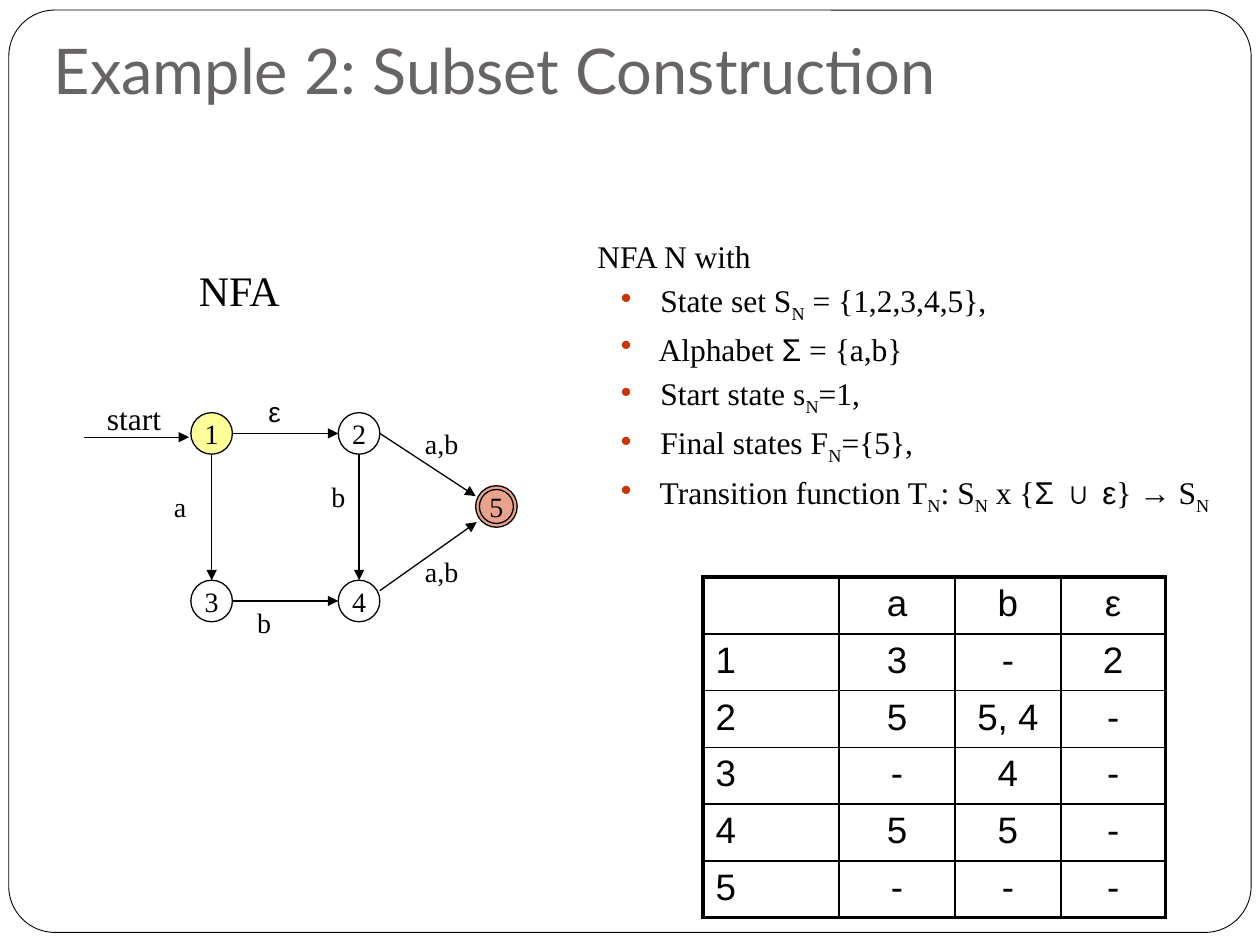
from lxml import etree
from pptx import Presentation
from pptx.dml.color import RGBColor
from pptx.enum import shapes, text
from pptx.oxml.ns import qn
from pptx.util import Inches, Pt

SERIF, SANS, TITLE_FONT = "Times New Roman", "Arial", "Lato"
COLORS = {"ink": "000000", "paper": "FFFFFF", "title": "696464",
          "start": "FFFF99", "final": "D34817", "bullet": "CC3300"}

# Automaton: centre and fill of each state
RADIUS = 0.165
STATES = {
    "1": (1.68, 3.44, "start"), "2": (2.85, 3.44, "paper"),
    "3": (1.68, 4.77, "paper"), "4": (2.85, 4.77, "paper"),
    "5": (3.94, 4.02, "final"),
}
# From, exit point, to, entry point (points in radii from the centre)
RIGHT, LEFT, BOTTOM, TOP = (1, 0), (-1, 0), (0, 1), (0, -1)
TRANSITIONS = [
    ("1", RIGHT, "2", LEFT), ("2", BOTTOM, "4", TOP),
    ("1", BOTTOM, "3", TOP), ("3", RIGHT, "4", LEFT),
    ("4", (1, -0.5), "5", (-0.95, 0.75)), ("2", RIGHT, "5", (-1, -0.5)),
]
# Label, left, top, width, font
SYMBOLS = [
    ("ε", 2.03, 3.08, 0.3, SANS), ("b", 1.94, 4.76, 0.31, SERIF),
    ("a", 1.28, 3.84, 0.3, SERIF), ("b", 2.53, 3.76, 0.31, SERIF),
    ("a,b", 3.27, 3.34, 0.47, SERIF), ("a,b", 3.27, 4.35, 0.47, SERIF),
]

# Definition: each run is (text, style)
SUB = ("N", "sub")
DEFINITION = [
    [(" NFA N with", "")],
    [(" State set S", ""), SUB, (" = {1,2,3,4,5},", "")],
    [(" Alphabet ", ""), ("Σ", "sans"), (" = {a,b}", "")],
    [(" Start state s", ""), SUB, ("=1,", "")],
    [(" Final states F", ""), SUB, ("={5},", "")],
    [(" Transition function T", ""), SUB, (": S", ""), SUB, (" x {", ""),
     ("Σ ", "sans"), ("∪ ", ""), ("ε", "sans"), ("} → S", ""), SUB],
]

TRANSITION_TABLE = [
    ["", "a", "b", "ε"],
    ["1", "3", "-", "2"],
    ["2", "5", "5, 4", "-"],
    ["3", "-", "4", "-"],
    ["4", "5", "5", "-"],
    ["5", "-", "-", "-"],
]
COLUMN_WIDTHS, ROW_HEIGHT = [1.08, 0.92, 0.84, 0.83], 0.45

prs = Presentation()
prs.slide_width, prs.slide_height = Inches(10), Inches(7.5)
slide = prs.slides.add_slide(prs.slide_layouts[6])


def rgb(name):
    return RGBColor.from_string(COLORS[name])


def add_run(paragraph, words, size, font=SERIF, color="ink"):
    run = paragraph.add_run()
    run.text = words
    run.font.size, run.font.name = Pt(size), font
    run.font.color.rgb = rgb(color)
    return run


def add_box(left, top, width, height, wrap=False):
    box = slide.shapes.add_textbox(*map(Inches, (left, top, width, height)))
    box.text_frame.word_wrap = wrap
    return box.text_frame


def add_label(words, left, top, width, height, size, font=SERIF, centred=False):
    paragraph = add_box(left, top, width, height).paragraphs[0]
    if centred:
        paragraph.alignment = text.PP_ALIGN.CENTER
    add_run(paragraph, words, size, font)


def add_outline(kind, left, top, width, height, fill, weight):
    shape = slide.shapes.add_shape(kind, *map(Inches, (left, top, width, height)))
    shape.shadow.inherit = False
    if fill:
        shape.fill.solid()
        shape.fill.fore_color.rgb = rgb(fill)
    else:
        shape.fill.background()
    shape.line.color.rgb, shape.line.width = rgb("ink"), Pt(weight)
    return shape


def add_circle(x, y, radius, fill=None):
    return add_outline(shapes.MSO_SHAPE.OVAL, x - radius, y - radius,
                       2 * radius, 2 * radius, fill, 0.75)


def add_arrow(x1, y1, x2, y2):
    arrow = slide.shapes.add_connector(shapes.MSO_CONNECTOR.STRAIGHT,
                                       *map(Inches, (x1, y1, x2, y2)))
    arrow.line.color.rgb, arrow.line.width = rgb("ink"), Pt(0.75)
    etree.SubElement(arrow.line._get_or_add_ln(), qn("a:tailEnd"), type="triangle")
    etree.SubElement(arrow._element.spPr, qn("a:effectLst"))


def add_bullet(paragraph):
    properties = paragraph._p.get_or_add_pPr()
    properties.set("marL", str(Inches(0.5)))
    properties.set("indent", str(Inches(-0.25)))
    color = etree.SubElement(properties, qn("a:buClr"))
    etree.SubElement(color, qn("a:srgbClr"), val=COLORS["bullet"])
    etree.SubElement(properties, qn("a:buChar"), char="•")


def set_border(cell, side, weight):
    line = etree.SubElement(cell._tc.get_or_add_tcPr(), qn("a:" + side),
                            w=str(Pt(weight)))
    fill = etree.SubElement(line, qn("a:solidFill"))
    etree.SubElement(fill, qn("a:srgbClr"), val=COLORS["ink"])


# Frame and title
frame = add_outline(shapes.MSO_SHAPE.ROUNDED_RECTANGLE, 0.07, 0.08, 9.86, 7.32,
                    "paper", 0.5)
frame.adjustments[0] = 0.05
title = add_box(0.33, 0.25, 9.4, 0.7, wrap=True)
title.vertical_anchor = text.MSO_ANCHOR.BOTTOM
title.margin_bottom = Inches(0.1)
add_run(title.paragraphs[0], "Example 2: Subset Construction", 36, TITLE_FONT, "title")

# Transition table
last_row, last_column = len(TRANSITION_TABLE) - 1, len(COLUMN_WIDTHS) - 1
table = slide.shapes.add_table(
    last_row + 1, last_column + 1, Inches(5.58), Inches(4.58),
    Inches(sum(COLUMN_WIDTHS)), Inches(ROW_HEIGHT * (last_row + 1))).table
table.first_row = table.horz_banding = False
for column, width in zip(table.columns, COLUMN_WIDTHS):
    column.width = Inches(width)
for r, entries in enumerate(TRANSITION_TABLE):
    table.rows[r].height = Inches(ROW_HEIGHT)
    for c, entry in enumerate(entries):
        cell = table.cell(r, c)
        outer = {"lnL": c == 0, "lnR": c == last_column,
                 "lnT": r == 0, "lnB": r == last_row}
        for side, on_edge in outer.items():
            set_border(cell, side, 2.25 if on_edge else 1)
        cell.fill.background()
        paragraph = cell.text_frame.paragraphs[0]
        if c:
            paragraph.alignment = text.PP_ALIGN.CENTER
        if entry:
            add_run(paragraph, entry, 21, SANS)

# Automaton
add_label("NFA", 1.48, 2.05, 0.87, 0.5, 24)
for name, (x, y, fill) in STATES.items():
    state = add_circle(x, y, RADIUS, fill)
    if fill == "final":
        tint = state._element.spPr.find(qn("a:solidFill"))[0]
        etree.SubElement(tint, qn("a:alpha"), val="50000")
        add_circle(x, y, 0.135)
    state.text_frame.word_wrap = False
    state.text_frame.vertical_anchor = text.MSO_ANCHOR.MIDDLE
    paragraph = state.text_frame.paragraphs[0]
    paragraph.alignment = text.PP_ALIGN.CENTER
    add_run(paragraph, name, 16)
for source, (exit_x, exit_y), target, (entry_x, entry_y) in TRANSITIONS:
    x1, y1, _ = STATES[source]
    x2, y2, _ = STATES[target]
    add_arrow(x1 + exit_x * RADIUS, y1 + exit_y * RADIUS,
              x2 + entry_x * RADIUS, y2 + entry_y * RADIUS)
for symbol, left, top, width, font in SYMBOLS:
    add_label(symbol, left, top, width, 0.37, 16, font, centred=True)
add_arrow(0.67, 3.47, 1.5, 3.47)
add_label("start", 0.75, 3.12, 0.69, 0.4, 18)

# Definition
definition = add_box(4.58, 1.83, 5.36, 2.51, wrap=True)
for i, runs in enumerate(DEFINITION):
    paragraph = definition.add_paragraph() if i else definition.paragraphs[0]
    if i:
        paragraph.space_before = Pt(3.6)
        add_bullet(paragraph)
    for words, style in runs:
        run = add_run(paragraph, words, 18, SANS if style == "sans" else SERIF)
        if style == "sub":
            run._r.get_or_add_rPr().set("baseline", "-25000")

prs.save("out.pptx")
